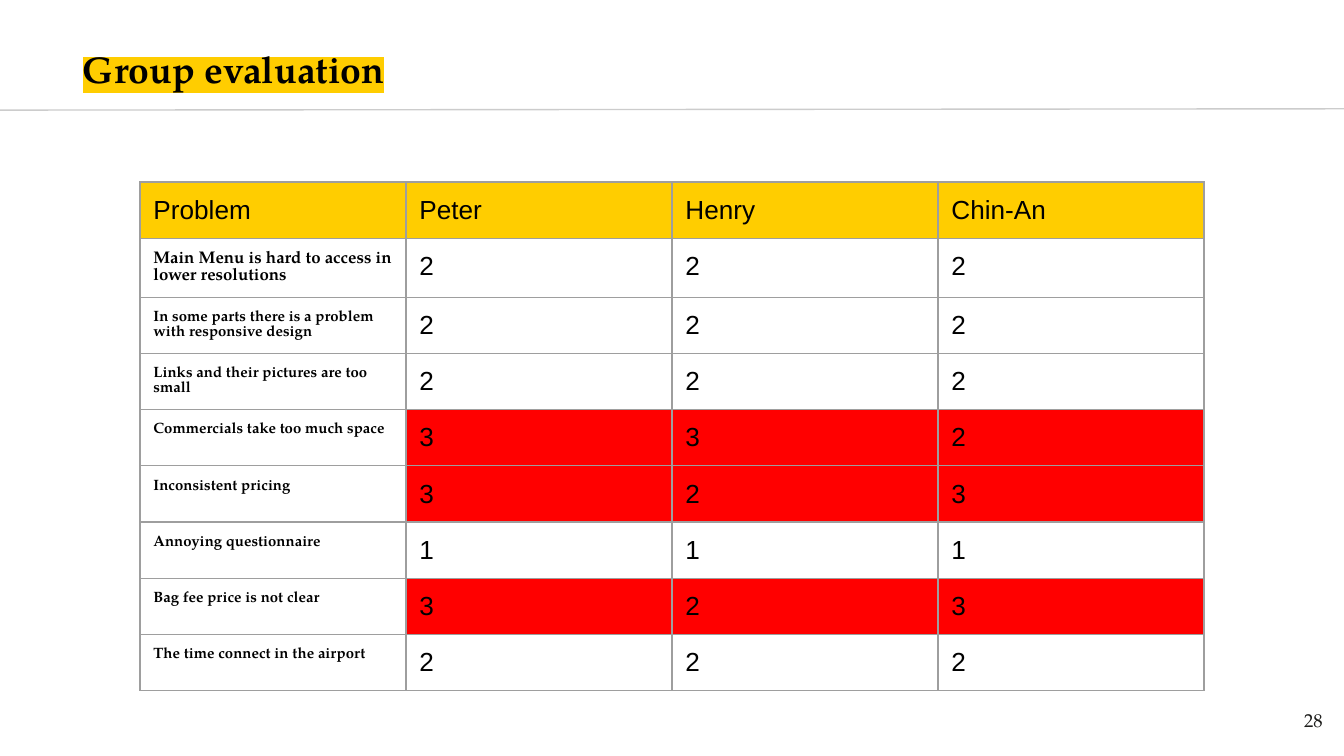
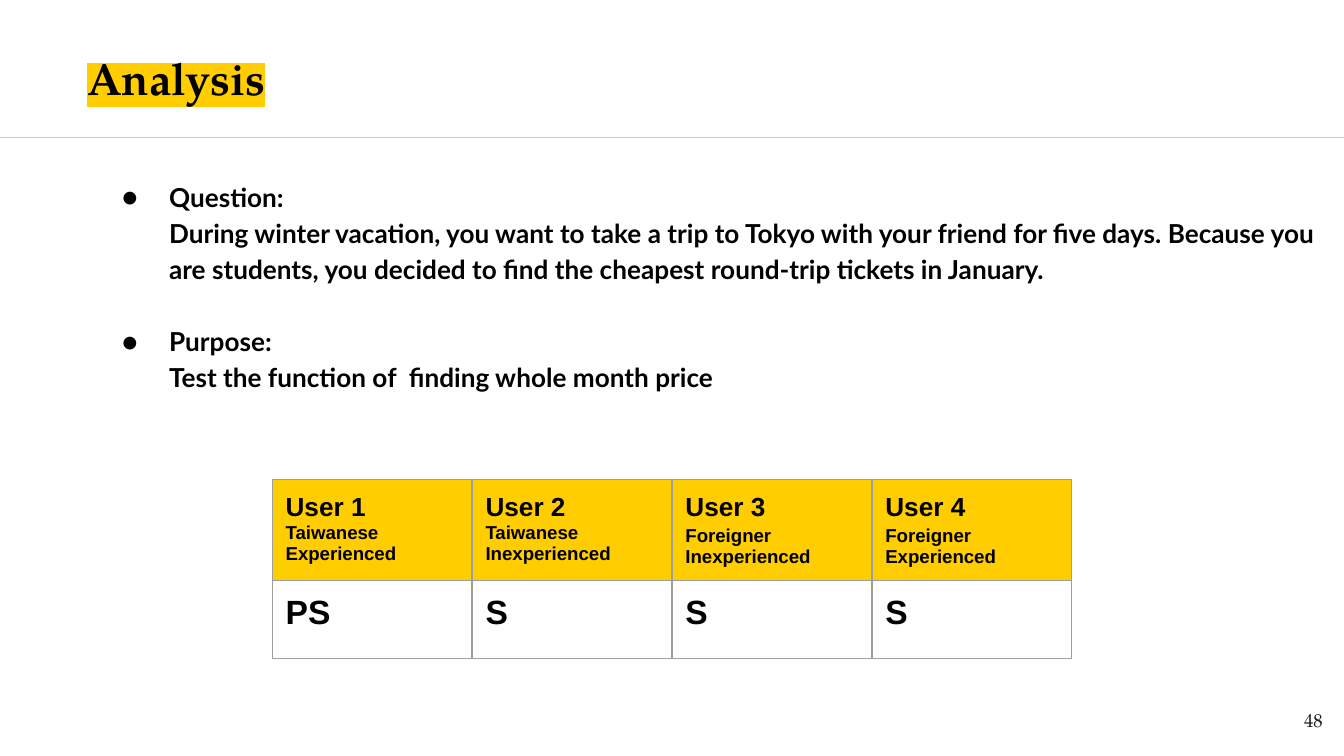
from lxml import etree
from pptx import Presentation
from pptx.dml.color import RGBColor
from pptx.enum.shapes import MSO_CONNECTOR
from pptx.enum.text import MSO_ANCHOR, PP_ALIGN
from pptx.oxml.ns import qn
from pptx.util import Pt

STRAIGHT = MSO_CONNECTOR.STRAIGHT
TOP, MIDDLE = MSO_ANCHOR.TOP, MSO_ANCHOR.MIDDLE
LEFT, RIGHT = PP_ALIGN.LEFT, PP_ALIGN.RIGHT

BLACK = RGBColor(0x00, 0x00, 0x00)
INK = RGBColor(0x1D, 0x1D, 0x1B)
YELLOW = RGBColor(0xFF, 0xCD, 0x00)
RED = RGBColor(0xFF, 0x00, 0x00)
RULE_GREY = RGBColor(0xCC, 0xCC, 0xCC)
BORDER_GREY = RGBColor(0x9E, 0x9E, 0x9E)

SERIF, SANS, BODY = "TeX Gyre Pagella", "Arial", "Lato"
INSET = 7.2
CELL_BOTTOM = 2.9
BULLET_INDENT, BULLET_HANG = 36, 25.2
BODY_LINE = 19.3

PROBLEMS = [
    ("Main Menu is hard to access in lower resolutions", 2, 2, 2),
    ("In some parts there is a problem with responsive design", 2, 2, 2),
    ("Links and their pictures are too small", 2, 2, 2),
    ("Commercials take too much space", 3, 3, 2),
    ("Inconsistent pricing", 3, 2, 3),
    ("Annoying questionnaire", 1, 1, 1),
    ("Bag fee price is not clear", 3, 2, 3),
    ("The time connect in the airport", 2, 2, 2),
]
TOPICS = [
    ("Question:", "During winter vacation, you want to take a trip to Tokyo with your "
     "friend for five days. Because you are students, you decided to find the cheapest "
     "round-trip tickets in January."),
    ("Purpose:", "Test the function of  finding whole month price"),
]
USERS = [
    ("User 1", ["Taiwanese Experienced"], "PS"),
    ("User 2", ["Taiwanese Inexperienced"], "S"),
    ("User 3", ["Foreigner", "Inexperienced"], "S"),
    ("User 4", ["Foreigner", "Experienced"], "S"),
]


def add_text(frame, text, size=14, font=SANS, color=BLACK, bold=False, align=LEFT,
             spacing=None, before=0, indent=0, hang=0, bullet=None, highlight=None):
    """Write one paragraph, using the empty first one when there is one."""
    paragraph = frame.paragraphs[0]
    if paragraph.runs:
        paragraph = frame.add_paragraph()
    paragraph.alignment = align
    paragraph.line_spacing = spacing
    paragraph.space_before = Pt(before)
    properties = paragraph._p.get_or_add_pPr()
    properties.set("marL", str(Pt(indent)))
    properties.set("indent", str(-Pt(hang)))
    if bullet:
        etree.SubElement(properties, qn("a:buFont")).set("typeface", font)
        etree.SubElement(properties, qn("a:buChar")).set("char", bullet)
    run = paragraph.add_run()
    run.text = text
    run.font.size, run.font.name, run.font.bold = Pt(size), font, bold
    run.font.color.rgb = color
    if highlight is not None:
        mark = etree.Element(qn("a:highlight"))
        etree.SubElement(mark, qn("a:srgbClr")).set("val", str(highlight))
        run._r.rPr.find(qn("a:solidFill")).addnext(mark)


def set_insets(target, bottom=INSET):
    target.margin_left = target.margin_top = target.margin_right = Pt(INSET)
    target.margin_bottom = Pt(bottom)


def add_box(slide, box, anchor=TOP):
    frame = slide.shapes.add_textbox(*map(Pt, box)).text_frame
    frame.word_wrap = True
    frame.vertical_anchor = anchor
    set_insets(frame)
    return frame


def add_heading(slide, title, box, size, rule):
    """Highlighted title and the thin rule across the slide."""
    frame = add_box(slide, box, MIDDLE)
    add_text(frame, title, size=size, font=SERIF, bold=True, highlight=YELLOW)
    line = slide.shapes.add_connector(STRAIGHT, *map(Pt, rule))
    line.line.color.rgb = RULE_GREY
    line.line.width = Pt(0.75)
    etree.SubElement(line._element.spPr, qn("a:effectLst"))


def add_page_number(slide, number):
    frame = add_box(slide, (672.5, 373.7, 43.2, 31))
    add_text(frame, number, size=10, font=SERIF, color=INK, align=RIGHT)


def style_cell(cell, fill=None):
    """Insets, grey border on all sides, and a fill if one is given."""
    set_insets(cell, CELL_BOTTOM)
    properties = cell._tc.get_or_add_tcPr()
    for side in ("a:lnL", "a:lnR", "a:lnT", "a:lnB"):
        border = etree.SubElement(properties, qn(side), w=str(Pt(0.75)))
        solid = etree.SubElement(border, qn("a:solidFill"))
        etree.SubElement(solid, qn("a:srgbClr")).set("val", str(BORDER_GREY))
    if fill is None:
        cell.fill.background()
    else:
        cell.fill.solid()
        cell.fill.fore_color.rgb = fill


def add_grid(slide, left, top, width, columns, heights):
    """Plain table with equal columns."""
    table = slide.shapes.add_table(len(heights), columns, Pt(left), Pt(top),
                                   Pt(width), Pt(sum(heights))).table
    table.first_row = table.horz_banding = False
    for column in table.columns:
        column.width = Pt(width / columns)
    for row, height in zip(table.rows, heights):
        row.height = Pt(height)
    return table


def add_ratings(slide, left, top, width):
    """Severity ratings; rows with any 3 are marked red."""
    heights = [30.1, 31.6] + [30.1] * (len(PROBLEMS) - 1)
    table = add_grid(slide, left, top, width, 4, heights)
    for col, label in enumerate(("Problem", "Peter", "Henry", "Chin-An")):
        style_cell(table.cell(0, col), YELLOW)
        add_text(table.cell(0, col).text_frame, label)
    for row, (problem, *ratings) in enumerate(PROBLEMS, 1):
        style_cell(table.cell(row, 0))
        add_text(table.cell(row, 0).text_frame, problem, size=9 if row == 1 else 8,
                 font=SERIF, bold=True)
        for col, rating in enumerate(ratings, 1):
            style_cell(table.cell(row, col), RED if max(ratings) == 3 else None)
            add_text(table.cell(row, col).text_frame, str(rating))


def add_topics(slide, box):
    """Bulleted topics, each with its explanation below."""
    frame = add_box(slide, box)
    body = dict(font=BODY, bold=True, spacing=1.15, indent=BULLET_INDENT)
    for index, (topic, explanation) in enumerate(TOPICS):
        add_text(frame, topic, bullet="●", hang=BULLET_HANG,
                 before=BODY_LINE if index else 0, **body)
        add_text(frame, explanation, **body)


def add_user_results(slide, left, top, width):
    """One column per user: profile above, result below."""
    table = add_grid(slide, left, top, width, len(USERS), [54, 41.8])
    for col, (user, profile, result) in enumerate(USERS):
        head, outcome = table.cell(0, col), table.cell(1, col)
        style_cell(head, YELLOW)
        add_text(head.text_frame, user, bold=True)
        for index, trait in enumerate(profile):
            loose = len(profile) > 1 and index == 0
            add_text(head.text_frame, trait, size=10, bold=True,
                     spacing=1.15 if loose else None)
        style_cell(outcome)
        add_text(outcome.text_frame, result, size=18, bold=True)


def build_evaluation(slide):
    add_heading(slide, "Group evaluation", (37.4, 0, 640.8, 73.4), 20,
                (0, 59, 724.3, 58.3))
    add_page_number(slide, "28")
    add_ratings(slide, 75, 97.5, 570)


def build_analysis(slide):
    add_page_number(slide, "48")
    add_topics(slide, (47.5, 87.4, 672.5, 181.4))
    add_user_results(slide, 145.8, 256.9, 428.4)
    add_heading(slide, "Analysis", (39.6, 20.9, 640.8, 41), 24,
                (-0.7, 73.7, 720.7, 73.7))


def main():
    deck = Presentation()
    deck.slide_width, deck.slide_height = Pt(720), Pt(405)
    blank = deck.slide_layouts[6]
    for build in (build_evaluation, build_analysis):
        build(deck.slides.add_slide(blank))
    deck.save("out.pptx")


if __name__ == "__main__":
    main()
